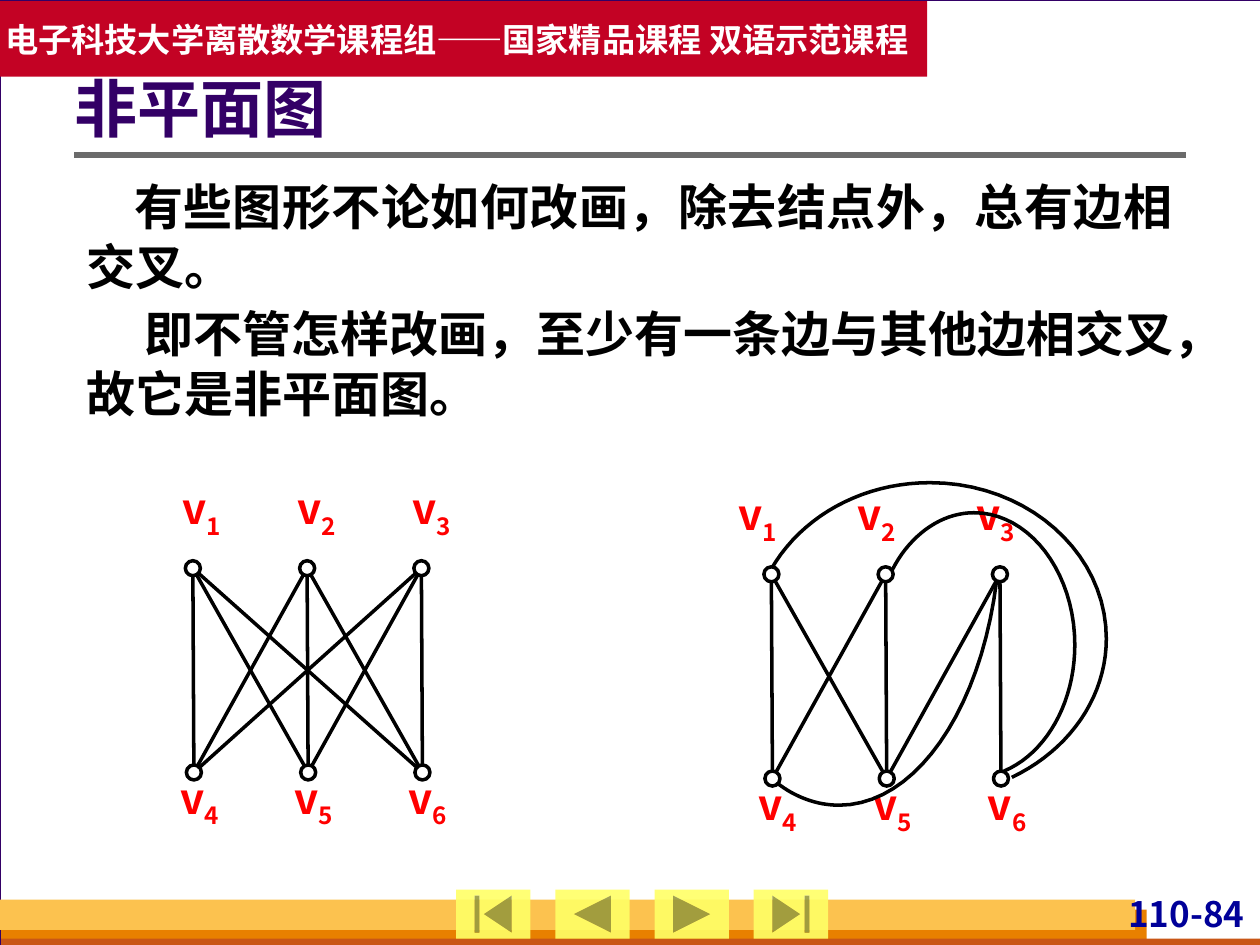
from itertools import product
from lxml.etree import SubElement
from pptx import Presentation
from pptx.dml.color import RGBColor
from pptx.enum.shapes import MSO_CONNECTOR, MSO_SHAPE
from pptx.enum.text import MSO_ANCHOR, PP_ALIGN
from pptx.oxml.ns import qn
from pptx.util import Pt

WHITE = RGBColor(0xFF, 0xFF, 0xFF)
BLACK = RGBColor(0x00, 0x00, 0x00)
RED = RGBColor(0xFF, 0x00, 0x00)
CRIMSON = RGBColor(0xC3, 0x02, 0x24)
PURPLE = RGBColor(0x33, 0x00, 0x66)
NAVY = RGBColor(0x00, 0x00, 0x99)
GREY = RGBColor(0x6B, 0x6B, 0x6B)
PALE_GREY = RGBColor(0xD8, 0xDA, 0xDA)
ORANGE = RGBColor(0xE8, 0x80, 0x00)
RUST = RGBColor(0xC9, 0x56, 0x16)
AMBER = RGBColor(0xFC, 0xC2, 0x4F)
YELLOW = RGBColor(0xFF, 0xFF, 0x66)
FONT = "Noto Sans CJK SC"

HEADER = "电子科技大学离散数学课程组——国家精品课程 双语示范课程"
TITLE = "非平面图"
BODY = [
    ("有些图形不论如何改画，除去结点外，总有边相交叉。", 27, 0),
    ("即不管怎样改画，至少有一条边与其他边相交叉，故它是非平面图。", 33, 4),
]
PAGE_NUMBER = "110-84"
FOOTER_BARS = [
    ((0.7, 519.8, 654.5, 20.2), ORANGE),
    ((0.7, 536.4, 720, 5.8), RUST),
    ((0, 514.1, 648.7, 17.3), AMBER),
]
BUTTONS = [
    MSO_SHAPE.ACTION_BUTTON_BEGINNING,
    MSO_SHAPE.ACTION_BUTTON_BACK_OR_PREVIOUS,
    MSO_SHAPE.ACTION_BUTTON_FORWARD_OR_NEXT,
    MSO_SHAPE.ACTION_BUTTON_END,
]
GRAPHS = [
    {
        "origin": (110.2, 324.7),
        "label_rows": [(98.6, 275.8, 65.5), (97.2, 441.4, 65.2)],
        "edges": list(product((1, 2, 3), (4, 5, 6))),
        "curves": [],
    },
    {
        "origin": (440.8, 328.2),
        "label_rows": [(416.2, 279.4, 68), (427.7, 445, 65.5)],
        "edges": [(1, 4), (1, 5), (2, 4), (2, 5), (3, 5), (3, 6)],
        "curves": [
            [(442.8, 446.4), (454.3, 455.8), (467.3, 460.1), (479.5, 460.1),
             (522.7, 460.1), (560.2, 406.8), (569.5, 331.9)],
            [(573.8, 440.6), (597.6, 430.6), (614.2, 401.8), (614.2, 368.6),
             (614.2, 326.9), (588.2, 293), (556.6, 293),
             (537.1, 293), (518.4, 306.7), (508.3, 329)],
            [(440.6, 325.4), (457.9, 295.2), (492.5, 275.8), (531.4, 275.8),
             (586.8, 275.8), (632.2, 315.4), (632.2, 365),
             (632.2, 398.2), (611.3, 428.4), (578.2, 444.2)],
        ],
    },
]
NODE_SIZE = 8.6
NODE_PITCH = 65.3
ROW_GAP = 116.7
BOTTOM_SHIFT = 0.6
EDGE_TRIM = 3
CURVE_STEPS = 20


def add_shape(slide, kind, box, fill, line=None, width=2):
    shape = slide.shapes.add_shape(kind, *map(Pt, box))
    shape.shadow.inherit = False
    shape.fill.solid()
    shape.fill.fore_color.rgb = fill
    if line is None:
        shape.line.fill.background()
    else:
        shape.line.color.rgb = line
        shape.line.width = Pt(width)
    return shape


def add_line(slide, start, end, color, width):
    connector = slide.shapes.add_connector(MSO_CONNECTOR.STRAIGHT, *map(Pt, start + end))
    connector.line.color.rgb = color
    connector.line.width = Pt(width)
    SubElement(connector._element.spPr, qn("a:effectLst"))


def add_run(paragraph, text, size, color):
    run = paragraph.add_run()
    run.text = text
    run.font.size = Pt(size)
    run.font.bold = True
    run.font.color.rgb = color
    run.font.name = FONT
    properties = run._r.get_or_add_rPr()
    SubElement(properties, qn("a:ea")).set("typeface", FONT)
    return properties


def set_frame(shape, insets, anchor=MSO_ANCHOR.TOP):
    frame = shape.text_frame
    frame.word_wrap = True
    frame.vertical_anchor = anchor
    frame.margin_left, frame.margin_top, frame.margin_right, frame.margin_bottom = map(Pt, insets)
    return frame


def add_text_box(slide, box, insets, anchor=MSO_ANCHOR.TOP):
    return set_frame(slide.shapes.add_textbox(*map(Pt, box)), insets, anchor)


def add_curve(slide, controls):
    points = [controls[0]]
    for first in range(0, len(controls) - 1, 3):
        a, b, c, d = controls[first:first + 4]
        for step in range(1, CURVE_STEPS + 1):
            t = step / CURVE_STEPS
            s = 1 - t
            weights = (s ** 3, 3 * s * s * t, 3 * s * t * t, t ** 3)
            points.append(tuple(sum(w * p[axis] for w, p in zip(weights, (a, b, c, d)))
                                for axis in (0, 1)))
    points = [(Pt(x), Pt(y)) for x, y in points]
    builder = slide.shapes.build_freeform(*points[0], scale=1.0)
    builder.add_line_segments(points[1:], close=False)
    curve = builder.convert_to_shape()
    curve.shadow.inherit = False
    curve.fill.background()
    curve.line.color.rgb = BLACK
    curve.line.width = Pt(2)


def add_graph(slide, graph):
    left, top = graph["origin"]
    nodes = {}
    for row, (label_left, label_top, label_pitch) in enumerate(graph["label_rows"]):
        for column in range(3):
            number = row * 3 + column + 1
            nodes[number] = (left + column * NODE_PITCH + row * BOTTOM_SHIFT, top + row * ROW_GAP)
            box = (label_left + column * label_pitch, label_top, 33.8, 33.1)
            paragraph = add_text_box(slide, box, (0, 0, 0, 0)).paragraphs[0]
            paragraph.alignment = PP_ALIGN.CENTER
            add_run(paragraph, "v", 24, RED)
            add_run(paragraph, str(number), 24, RED).set("baseline", "-25000")
    for upper, lower in graph["edges"]:
        (x1, y1), (x2, y2) = nodes[upper], nodes[lower]
        shift = (x2 - x1) * EDGE_TRIM / (y2 - y1)
        add_line(slide, (x1 + shift, y1 + EDGE_TRIM), (x2 - shift, y2 - EDGE_TRIM), BLACK, 2)
    for controls in graph["curves"]:
        add_curve(slide, controls)
    for x, y in nodes.values():
        box = (x - NODE_SIZE / 2, y - NODE_SIZE / 2, NODE_SIZE, NODE_SIZE)
        add_shape(slide, MSO_SHAPE.OVAL, box, WHITE, BLACK)


def main():
    presentation = Presentation()
    presentation.slide_width, presentation.slide_height = Pt(720), Pt(540)
    slide = presentation.slides.add_slide(presentation.slide_layouts[6])
    slide.background.fill.solid()
    slide.background.fill.fore_color.rgb = PALE_GREY

    add_shape(slide, MSO_SHAPE.RECTANGLE, (0, 0, 720.7, 540), WHITE, PURPLE, 0.75)
    for box, color in FOOTER_BARS:
        add_shape(slide, MSO_SHAPE.RECTANGLE, box, color)
    paragraph = add_text_box(slide, (626.4, 509.8, 87.8, 27.4), (3, 0, 3, 0)).paragraphs[0]
    paragraph.alignment = PP_ALIGN.RIGHT
    add_run(paragraph, PAGE_NUMBER, 20, NAVY)
    add_line(slide, (42.5, 88.6), (677.5, 88.6), GREY, 3)
    for index, kind in enumerate(BUTTONS):
        button = add_shape(slide, kind, (260.6 + index * 56.7, 508.3, 42.5, 28.1), YELLOW)
        color = button._element.spPr.find(qn("a:solidFill"))[0]
        SubElement(color, qn("a:alpha")).set("val", "90000")

    header = add_shape(slide, MSO_SHAPE.RECTANGLE, (0, 0.7, 529.9, 43.2), CRIMSON)
    paragraph = set_frame(header, (3, 3.6, 3, 3.6), MSO_ANCHOR.MIDDLE).paragraphs[0]
    paragraph.alignment = PP_ALIGN.LEFT
    add_run(paragraph, HEADER, 19, WHITE)

    title_box = (42.5, 27.4, 635, 72.7)
    paragraph = add_text_box(slide, title_box, (0, 3.6, 7.2, 3.6), MSO_ANCHOR.MIDDLE).paragraphs[0]
    paragraph.line_spacing = 0.9
    add_run(paragraph, TITLE, 36, PURPLE)

    frame = add_text_box(slide, (42.5, 96.5, 635, 175.7), (7.2, 3.6, 7.2, 3.6))
    for index, (text, indent, space_before) in enumerate(BODY):
        paragraph = frame.add_paragraph() if index else frame.paragraphs[0]
        paragraph.alignment = PP_ALIGN.JUSTIFY
        paragraph.line_spacing = 1.02
        if space_before:
            paragraph.space_before = Pt(space_before)
        paragraph._p.get_or_add_pPr().set("indent", str(Pt(indent)))
        add_run(paragraph, text, 28, BLACK)

    for graph in GRAPHS:
        add_graph(slide, graph)
    presentation.save("out.pptx")


if __name__ == "__main__":
    main()
